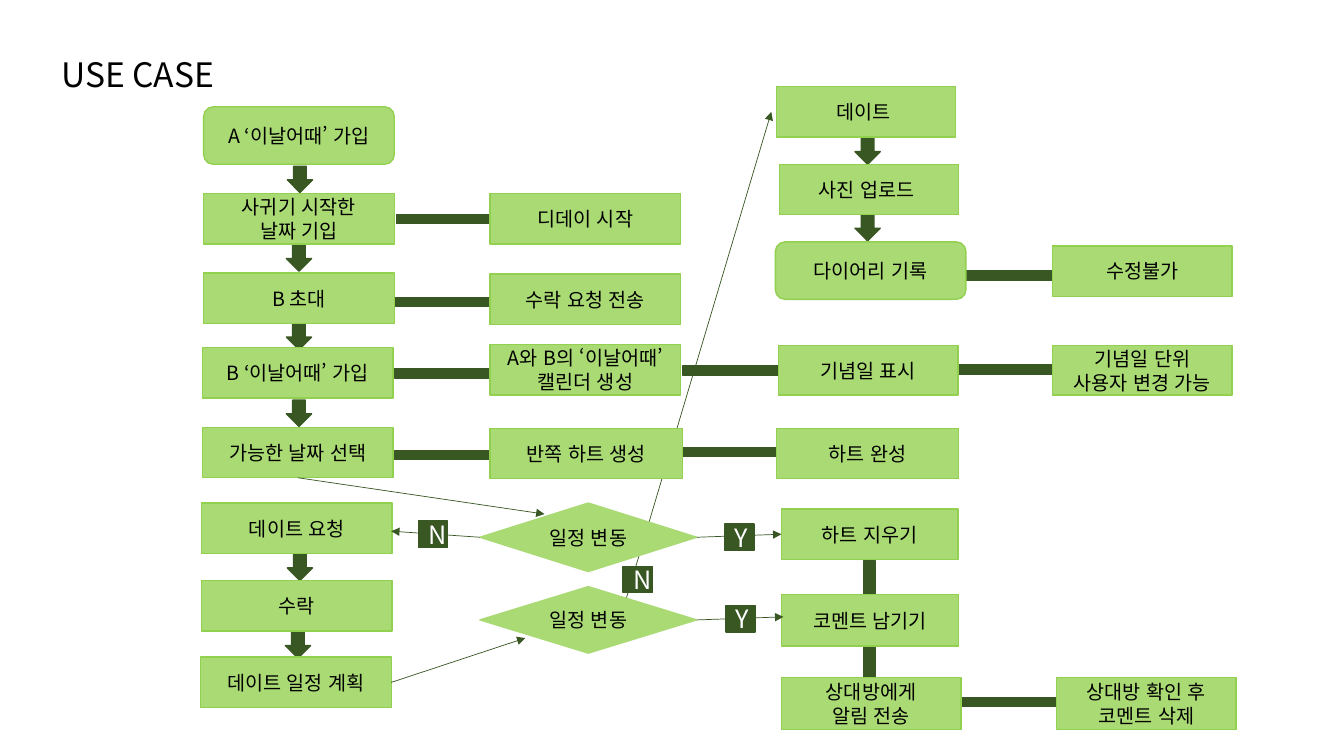
from lxml import etree
from pptx import Presentation
from pptx.dml.color import RGBColor
from pptx.enum.lang import MSO_LANGUAGE_ID
from pptx.enum.shapes import MSO_CONNECTOR, MSO_SHAPE
from pptx.enum.text import MSO_ANCHOR, PP_ALIGN
from pptx.oxml.ns import qn
from pptx.util import Inches, Pt

RECT = MSO_SHAPE.RECTANGLE
ROUND = MSO_SHAPE.ROUNDED_RECTANGLE
DIAMOND = MSO_SHAPE.FLOWCHART_DECISION
DOWN = MSO_SHAPE.DOWN_ARROW
STRAIGHT = MSO_CONNECTOR.STRAIGHT
MIDDLE = MSO_ANCHOR.MIDDLE
CENTER = PP_ALIGN.CENTER
KOREAN = MSO_LANGUAGE_ID.KOREAN
FONT = "Noto Sans CJK KR"
GREEN, EDGE, DARK = "A9DA74", "92D050", "385723"
BLACK, WHITE = "000000", "FFFFFF"
LEFT, BOTTOM, RIGHT = 1, 2, 3

STEPS = [
    ("A ‘이날어때’ 가입", 2.02, 1.06, 1.89, 0.57, ROUND),
    ("사귀기 시작한\n날짜 기입", 2.02, 1.92, 1.89, 0.5, RECT),
    ("B 초대", 2.02, 2.71, 1.89, 0.5, RECT),
    ("B ‘이날어때’ 가입", 2.01, 3.45, 1.89, 0.5, RECT),
    ("디데이 시작", 4.86, 1.92, 1.89, 0.5, RECT),
    ("수락 요청 전송", 4.86, 2.72, 1.89, 0.5, RECT),
    ("A와 B의 ‘이날어때’ 캘린더 생성", 4.86, 3.42, 1.89, 0.5, RECT),
    ("반쪽 하트 생성", 4.86, 4.25, 1.91, 0.5, RECT),
    ("수락", 2, 5.76, 1.89, 0.5, RECT),
    ("데이트 ", 7.7, 0.86, 1.78, 0.5, RECT),
    ("사진 업로드 ", 7.73, 1.63, 1.78, 0.5, RECT),
    ("다이어리 기록", 7.69, 2.4, 1.89, 0.57, ROUND),
    ("기념일 표시", 7.72, 3.43, 1.78, 0.49, RECT),
    ("하트 완성", 7.7, 4.25, 1.81, 0.5, RECT),
    ("코멘트 남기기", 7.75, 5.9, 1.76, 0.51, RECT),
    ("상대방에게\n알림 전송", 7.75, 6.72, 1.78, 0.52, RECT),
    ("수정불가", 10.44, 2.44, 1.78, 0.5, RECT),
    ("기념일 단위\n사용자 변경 가능", 10.44, 3.43, 1.78, 0.49, RECT),
    ("상대방 확인 후\n코멘트 삭제", 10.48, 6.72, 1.78, 0.52, RECT),
]
BARS = [(3.93, 2.13), (3.91, 2.95), (3.91, 3.66), (3.9, 4.47), (6.77, 3.63),
        (6.76, 4.44), (9.56, 2.69), (9.5, 3.62), (9.54, 6.92)]
ARROWS = [(2.85, 1.65), (2.84, 2.43), (2.84, 3.21), (2.84, 3.97), (2.85, 5.5),
          (2.83, 6.27), (8.48, 1.37), (8.48, 2.13)]
ANSWERS = [("N", 6.18, 5.62), ("N", 4.15, 5.17), ("Y", 7.19, 5.2), ("Y", 7.2, 6.01)]


def color(value):
    return RGBColor.from_string(value)


def write(tf, text, size, ink, align=None):
    tf.word_wrap = True
    tf.text = text
    for p in tf.paragraphs:
        p.alignment = align
        p.font.size = Pt(size)
        p.font.name = FONT
        p.font.color.rgb = color(ink)
        props = p._p.pPr.find(qn("a:defRPr"))
        etree.SubElement(props, qn("a:ea")).set("typeface", FONT)
        for r in p.runs:
            r.font.language_id = KOREAN


def add_block(s, kind, x, y, w, h, fill=DARK, edge=DARK):
    sp = s.shapes.add_shape(kind, Inches(x), Inches(y), Inches(w), Inches(h))
    sp.shadow.inherit = False
    sp.fill.solid()
    sp.fill.fore_color.rgb = color(fill)
    sp.line.color.rgb = color(edge)
    sp.line.width = Pt(1)
    return sp


def add_step(s, text, x, y, w, h, kind=RECT, edge=EDGE):
    sp = add_block(s, kind, x, y, w, h, GREEN, edge)
    sp.text_frame.vertical_anchor = MIDDLE
    write(sp.text_frame, text, 14, BLACK, CENTER)
    return sp


def add_answer(s, text, x, y):
    sp = add_block(s, RECT, x, y, 0.29, 0.26)
    sp.text_frame.vertical_anchor = MIDDLE
    write(sp.text_frame, text, 18, WHITE, CENTER)


def add_flow(s, start, end, source=None, target=None):
    flow = s.shapes.add_connector(STRAIGHT, *map(Inches, start + end))
    if source:
        flow.begin_connect(*source)
    if target:
        flow.end_connect(*target)
    flow.line.color.rgb = color(DARK)
    flow.line.width = Pt(0.5)
    props = flow._element.spPr
    etree.SubElement(props.find(qn("a:ln")), qn("a:tailEnd")).set("type", "triangle")
    etree.SubElement(props, qn("a:effectLst"))


def main():
    prs = Presentation()
    prs.slide_width, prs.slide_height = Inches(13.33), Inches(7.5)
    s = prs.slides.add_slide(prs.slide_layouts[6])

    add_flow(s, (6.19, 6.01), (7.65, 1.11))
    add_block(s, RECT, 8.05, 6.08, 1.15, 0.12).rotation = 90
    for x, y in BARS:
        add_block(s, RECT, x, y, 0.95, 0.09)
    for x, y in ARROWS:
        add_block(s, DOWN, x, y, 0.25, 0.26)

    title = s.shapes.add_textbox(Inches(0.51), Inches(0.49), Inches(3.13), Inches(0.5))
    write(title.text_frame, "USE CASE", 24, BLACK)
    for step in STEPS:
        add_step(s, *step)
    pick = add_step(s, "가능한 날짜 선택", 2.01, 4.24, 1.89, 0.5)
    add_step(s, "데이트 요청", 2, 4.99, 1.89, 0.5)
    plan = add_step(s, "데이트 일정 계획", 1.99, 6.52, 1.89, 0.5)
    erase = add_step(s, "하트 지우기", 7.75, 5.05, 1.75, 0.5)
    before = add_step(s, "일정 변동", 4.76, 4.99, 2.15, 0.68, DIAMOND, GREEN)
    after = add_step(s, "일정 변동", 4.76, 5.82, 2.15, 0.66, DIAMOND, GREEN)

    add_flow(s, (2.95, 4.74), (5.4, 5.1), (pick, BOTTOM))
    add_flow(s, (3.89, 6.78), (5.21, 6.33), (plan, RIGHT))
    add_flow(s, (4.76, 5.33), (3.88, 5.27), (before, LEFT))
    add_flow(s, (6.88, 5.34), (7.75, 5.3), (before, RIGHT), (erase, LEFT))
    add_flow(s, (6.9, 6.15), (7.77, 6.12), (after, RIGHT))
    for answer in ANSWERS:
        add_answer(s, *answer)
    prs.save("out.pptx")


if __name__ == "__main__":
    main()
